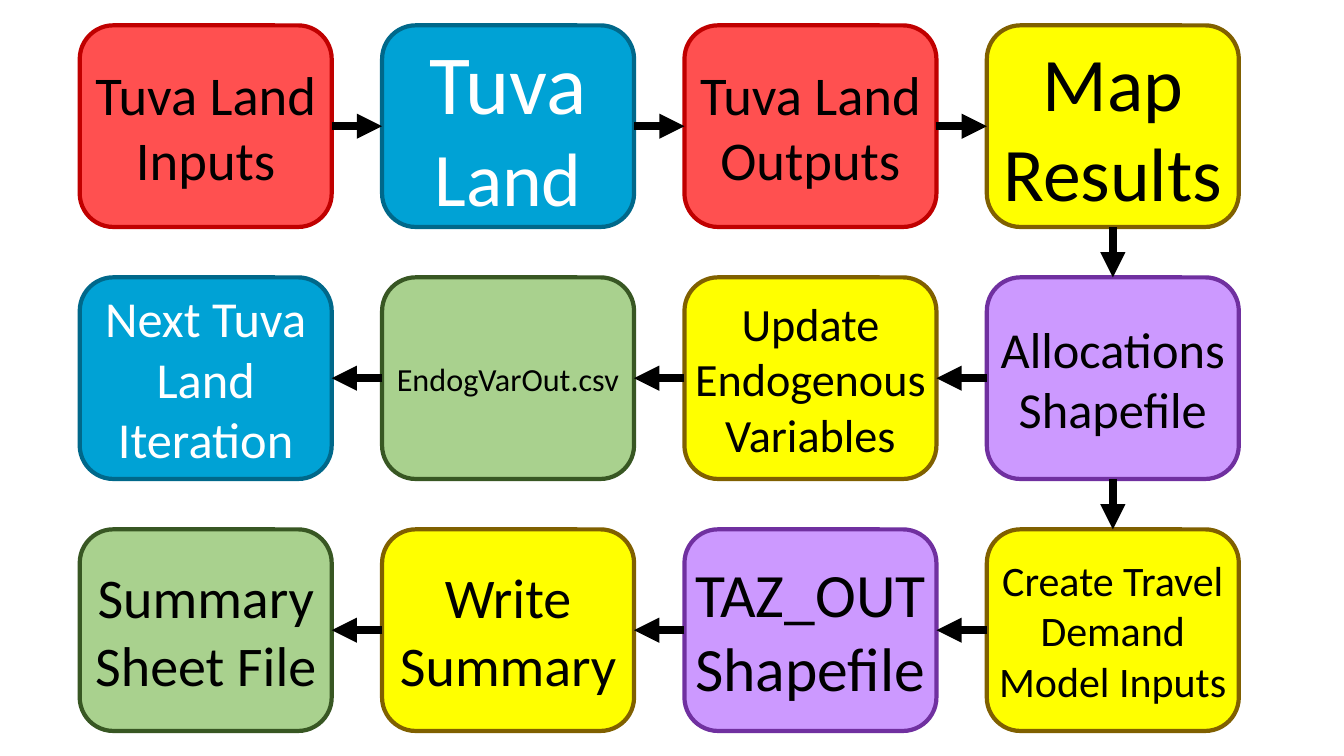
from lxml import etree
from pptx import Presentation
from pptx.dml.color import RGBColor
from pptx.enum.shapes import MSO_CONNECTOR, MSO_SHAPE
from pptx.enum.text import MSO_ANCHOR, PP_ALIGN
from pptx.oxml.ns import qn
from pptx.util import Cm, Pt

ROUNDED = MSO_SHAPE.ROUNDED_RECTANGLE
STRAIGHT = MSO_CONNECTOR.STRAIGHT
MIDDLE = MSO_ANCHOR.MIDDLE
CENTER = PP_ALIGN.CENTER

BLACK = RGBColor(0x00, 0x00, 0x00)
WHITE = RGBColor(0xFF, 0xFF, 0xFF)

# Fill, outline and text colour of each kind of step
RED = (RGBColor(0xFF, 0x50, 0x50), RGBColor(0xC0, 0x00, 0x00), BLACK)
BLUE = (RGBColor(0x00, 0xA2, 0xD5), RGBColor(0x00, 0x68, 0x8A), WHITE)
YELLOW = (RGBColor(0xFF, 0xFF, 0x00), RGBColor(0x80, 0x60, 0x00), BLACK)
PURPLE = (RGBColor(0xCC, 0x99, 0xFF), RGBColor(0x70, 0x30, 0xA0), BLACK)
GREEN = (RGBColor(0xA9, 0xD1, 0x8E), RGBColor(0x38, 0x57, 0x23), BLACK)

FONT = "Calibri"
BLANK_LAYOUT = 6
LEFT, TOP = 2.01, 0.64
STEP_WIDTH, STEP_HEIGHT = 6.35, 5.08
GAP = 1.27

# Connection sites of a rounded rectangle
TOP_SITE, LEFT_SITE, BOTTOM_SITE, RIGHT_SITE = range(4)

# Rows of steps: colours, then (text, size) runs
STEPS = [
    [(RED, [("Tuva Land Inputs", 39)]),
     (BLUE, [("Tuva ", 60), ("Land", 54)]),
     (RED, [("Tuva Land Outputs", 39)]),
     (YELLOW, [("Map Results", 54)])],
    [(BLUE, [("Next Tuva Land Iteration", 36)]),
     (GREEN, [("EndogVarOut.csv", 23)]),
     (YELLOW, [("Update Endogenous Variables", 33)]),
     (PURPLE, [("Allocations Shapefile", 36)])],
    [(GREEN, [("Summary Sheet File", 40)]),
     (YELLOW, [("Write Summary", 40)]),
     (PURPLE, [("TAZ_OUT Shapefile", 44)]),
     (YELLOW, [("Create Travel Demand Model Inputs", 30)])],
]


def set_format(target, values):
    """Set each attribute named in values on target."""
    for name, value in values.items():
        setattr(target, name, value)


def add_step(slide, row, column, colours, runs):
    """Add one labelled step at its place in the grid."""
    fill, outline, text_colour = colours
    step = slide.shapes.add_shape(
        ROUNDED,
        Cm(LEFT + column * (STEP_WIDTH + GAP)),
        Cm(TOP + row * (STEP_HEIGHT + GAP)),
        Cm(STEP_WIDTH), Cm(STEP_HEIGHT))
    step.shadow.inherit = False
    step.fill.solid()
    step.fill.fore_color.rgb = fill
    step.line.color.rgb = outline
    step.line.width = Pt(3)

    label = step.text_frame
    set_format(label, {
        "word_wrap": True, "vertical_anchor": MIDDLE,
        "margin_left": 0, "margin_right": 0,
        "margin_top": 0, "margin_bottom": 0})
    paragraph = label.paragraphs[0]
    paragraph.alignment = CENTER
    for text, size in runs:
        run = paragraph.add_run()
        run.text = text
        set_format(run.font, {"name": FONT, "size": Pt(size)})
        run.font.color.rgb = text_colour
    return step


def add_arrow(slide, source, source_site, target, target_site):
    """Join two steps with an arrow that stays attached to both."""
    arrow = slide.shapes.add_connector(STRAIGHT, 0, 0, 0, 0)
    arrow.begin_connect(source, source_site)
    arrow.end_connect(target, target_site)
    arrow.line.color.rgb = BLACK
    arrow.line.width = Pt(6)
    properties = arrow.line._get_or_add_ln()
    etree.SubElement(properties, qn("a:tailEnd"), type="triangle")
    etree.SubElement(properties.getparent(), qn("a:effectLst"))


def main():
    """Build the workflow slide."""
    deck = Presentation()
    set_format(deck, {"slide_width": Cm(33.87), "slide_height": Cm(19.05)})
    slide = deck.slides.add_slide(deck.slide_layouts[BLANK_LAYOUT])

    grid = [[add_step(slide, row, column, *step)
             for column, step in enumerate(steps)]
            for row, steps in enumerate(STEPS)]

    # The first row runs rightwards, the others leftwards
    for row, steps in enumerate(grid):
        for left_step, right_step in zip(steps, steps[1:]):
            if row == 0:
                add_arrow(slide, left_step, RIGHT_SITE, right_step, LEFT_SITE)
            else:
                add_arrow(slide, right_step, LEFT_SITE, left_step, RIGHT_SITE)

    # The last column links the rows downwards
    for upper, lower in zip(grid, grid[1:]):
        add_arrow(slide, upper[-1], BOTTOM_SITE, lower[-1], TOP_SITE)

    deck.save("out.pptx")


main()
